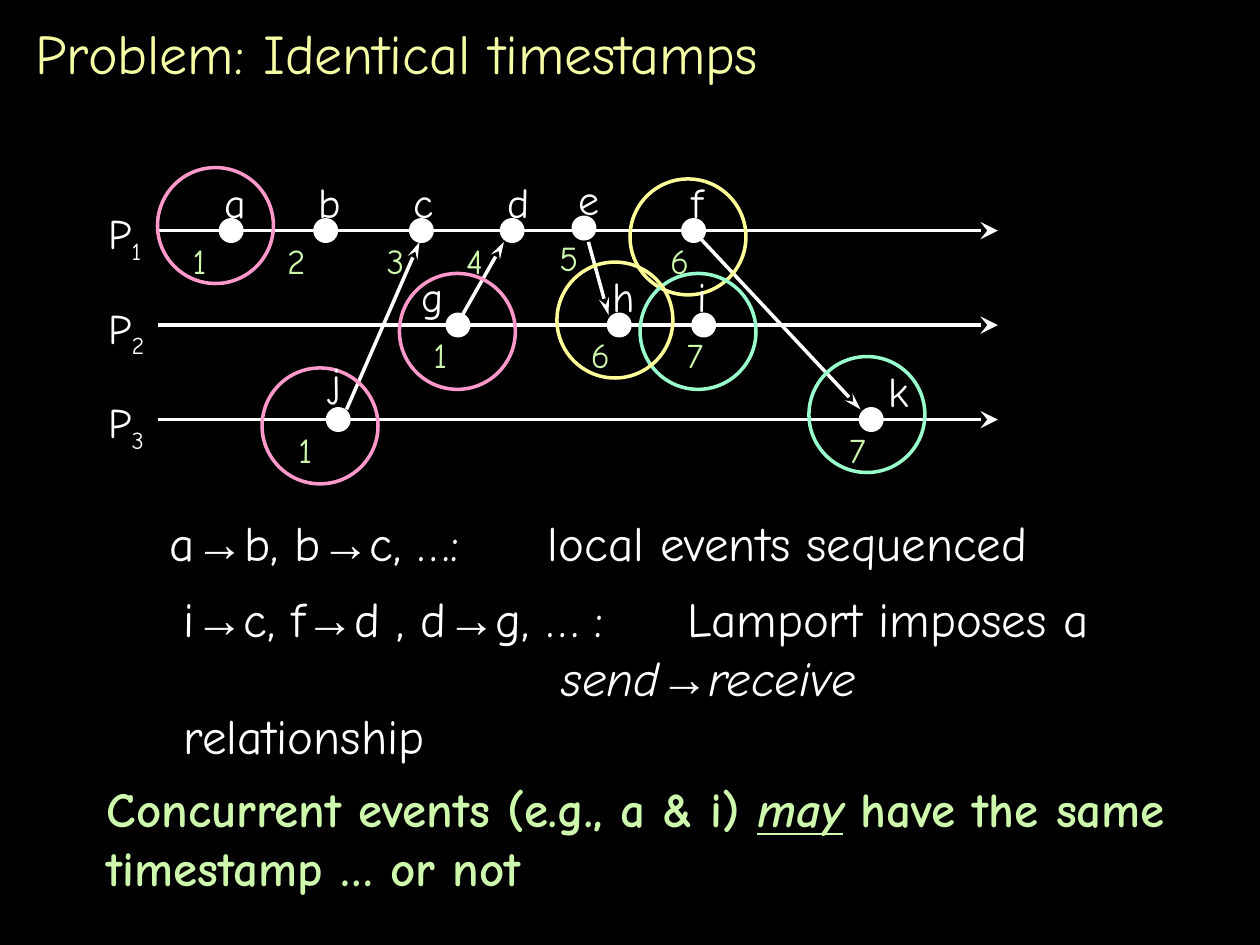
from lxml import etree
from pptx import Presentation
from pptx.dml.color import RGBColor
from pptx.enum import shapes, text
from pptx.oxml.ns import qn
from pptx.util import Inches, Pt

HUE = {"back": "000000", "title": "F5FDA5", "white": "FFFFFF", "lime": "CEF9AD",
       "pink": "FF99CC", "yellow": "FFFF99", "mint": "99FFCC"}
FACE, PLAIN = "Comic Neue", "Arial"
DOT, RING = 0.17, 0.92
LEFT, RIGHT = 1.25, 7.92
ROWS = [1.83, 2.58, 3.33]

# name, row, lift, dot left, name left, name rise, stamp, stamp left
EVENTS = [
    ("a", 0, 0, 1.75, 1.68, 0.48, "1", 1.43),
    ("b", 0, 0, 2.5, 2.43, 0.48, "2", 2.18),
    ("c", 0, 0, 3.26, 3.18, 0.48, "3", 2.97),
    ("d", 0, 0, 3.98, 3.93, 0.48, "4", 3.6),
    ("e", 0, 0.02, 4.55, 4.49, 0.48, "5", 4.34),
    ("f", 0, 0, 5.42, 5.39, 0.48, "6", 5.22),
    ("g", 1, 0, 3.55, 3.25, 0.48, "1", 3.34),
    ("h", 1, 0, 4.83, 4.76, 0.48, "6", 4.59),
    ("i", 1, 0, 5.5, 5.44, 0.48, "7", 5.35),
    ("j", 2, 0, 2.6, 2.53, 0.56, "1", 2.27),
    ("k", 2, 0, 6.83, 6.95, 0.48, "7", 6.64),
]
SENDS = [(5.5, 1.83, 6.83, 3.25), (2.75, 3.25, 3.33, 1.92),
         (3.67, 2.5, 4, 1.92), (4.67, 1.92, 4.83, 2.5)]
RINGS = [("mint", 6.42, 2.83), ("yellow", 5, 1.42), ("mint", 5.08, 2.17),
         ("yellow", 4.42, 2.08), ("pink", 1.25, 1.33), ("pink", 3.17, 2.17),
         ("pink", 2.08, 2.92)]

# runs: text, style ("i" italic, "u" underline, "s" subscript)
LOCAL = [("a→b, b→c, …:\tlocal events sequenced", "")]
ORDER = [("i→c, f→d , d→g, … :\tLamport imposes a\n\t\t\t", ""),
         ("send→receive", "i"), (" relationship", "")]
CLAIM = [("Concurrent events (e.g., a & i) ", ""), ("may", "iu"),
         (" have the same timestamp … or not", "")]

prs = Presentation()
prs.slide_width, prs.slide_height = Inches(10), Inches(7.5)
slide = prs.slides.add_slide(prs.slide_layouts[5])


def color(name):
    return RGBColor.from_string(HUE[name])


def style(para, size, hue, bold=False):
    font = para.font
    font.name, font.size, font.bold = FACE, Pt(size), bold
    font.color.rgb = color(hue)


def put(para, words, marks):
    """Add runs, with each arrow in the plain face and each newline as a break."""
    for part in words.replace("→", "|→|").replace("\n", "|\n|").split("|"):
        if part == "\n":
            para.add_line_break()
        elif part:
            run = para.add_run()
            run.text = part
            if part == "→":
                run.font.name = PLAIN
            elif "i" in marks:
                run.font.italic = True
            if "u" in marks:
                run.font.underline = True
            if "s" in marks:
                run._r.get_or_add_rPr().set("baseline", "-25000")


def label(runs, x, y, w, h, size, hue="white", wrap=False, bold=False):
    box = slide.shapes.add_textbox(Inches(x), Inches(y), Inches(w), Inches(h))
    frame = box.text_frame
    frame.word_wrap = wrap
    frame.auto_size = text.MSO_AUTO_SIZE.SHAPE_TO_FIT_TEXT
    para = frame.paragraphs[0]
    if any("\t" in words for words, _ in runs):
        tabs = etree.SubElement(para._p.get_or_add_pPr(), qn("a:tabLst"))
        for inch in range(8):
            etree.SubElement(tabs, qn("a:tab"), pos=str(Inches(inch)), algn="l")
    style(para, size, hue, bold)
    for words, marks in runs:
        put(para, words, marks)


def arrow(x1, y1, x2, y2, wide="med"):
    line = slide.shapes.add_connector(shapes.MSO_CONNECTOR.STRAIGHT, Inches(x1),
                                      Inches(y1), Inches(x2), Inches(y2))
    line.line.color.rgb = color("white")
    line.line.width = Pt(2)
    etree.SubElement(line.line._get_or_add_ln(), qn("a:tailEnd"),
                     type="stealth", w=wide, len="lg")
    etree.SubElement(line._element.spPr, qn("a:effectLst"))


def circle(x, y, size, hue, solid):
    oval = slide.shapes.add_shape(shapes.MSO_SHAPE.OVAL, Inches(x), Inches(y),
                                  Inches(size), Inches(size))
    oval.shadow.inherit = False
    if solid:
        oval.fill.solid()
        oval.fill.fore_color.rgb = color(hue)
    else:
        oval.fill.background()
    oval.line.color.rgb = color(hue)
    oval.line.width = Pt(2)


slide.background.fill.solid()
slide.background.fill.fore_color.rgb = color("back")

title = slide.shapes.title
title.left, title.top = Inches(0.18), Inches(0.08)
title.width, title.height = Inches(9.67), Inches(0.67)
title.text_frame.vertical_anchor = text.MSO_ANCHOR.MIDDLE
title.text_frame.auto_size = text.MSO_AUTO_SIZE.NONE
title.text_frame.text = "Problem: Identical timestamps"
head = title.text_frame.paragraphs[0]
head.alignment = text.PP_ALIGN.LEFT
style(head, 32, "title")

label(LOCAL, 1.25, 4.02, 7.01, 0.57, 28)
label(ORDER, 1.36, 4.62, 7.52, 1.04, 28)
label(CLAIM, 0.75, 6.13, 8.67, 1.04, 28, "lime", wrap=True, bold=True)

for num, y in enumerate(ROWS, 1):
    arrow(LEFT, y, RIGHT, y, "lg")
    label([("P", ""), (str(num), "s")], 0.76, y - 0.23, 0.52, 0.56, 24)
for send in SENDS:
    arrow(*send)
for hue, x, y in RINGS:
    circle(x, y, RING, hue, False)
for name, row, lift, dot, left, rise, stamp, under in EVENTS:
    y = ROWS[row] - lift
    circle(dot, y - DOT / 2, DOT, "white", True)
    label([(name, "")], left, y - rise, 0.38, 0.5, 24)
    label([(stamp, "")], under, y + 0.02, 0.35, 0.44, 20, "lime")

prs.save("out.pptx")
